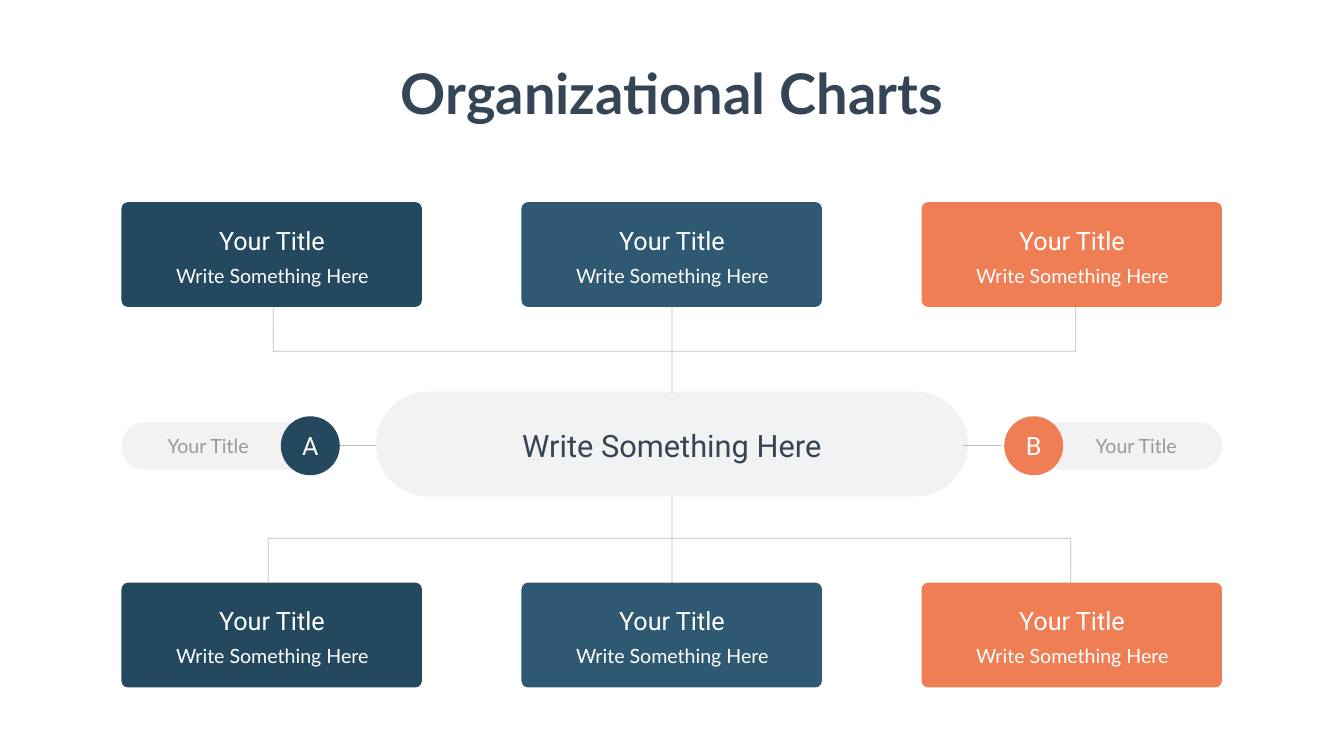
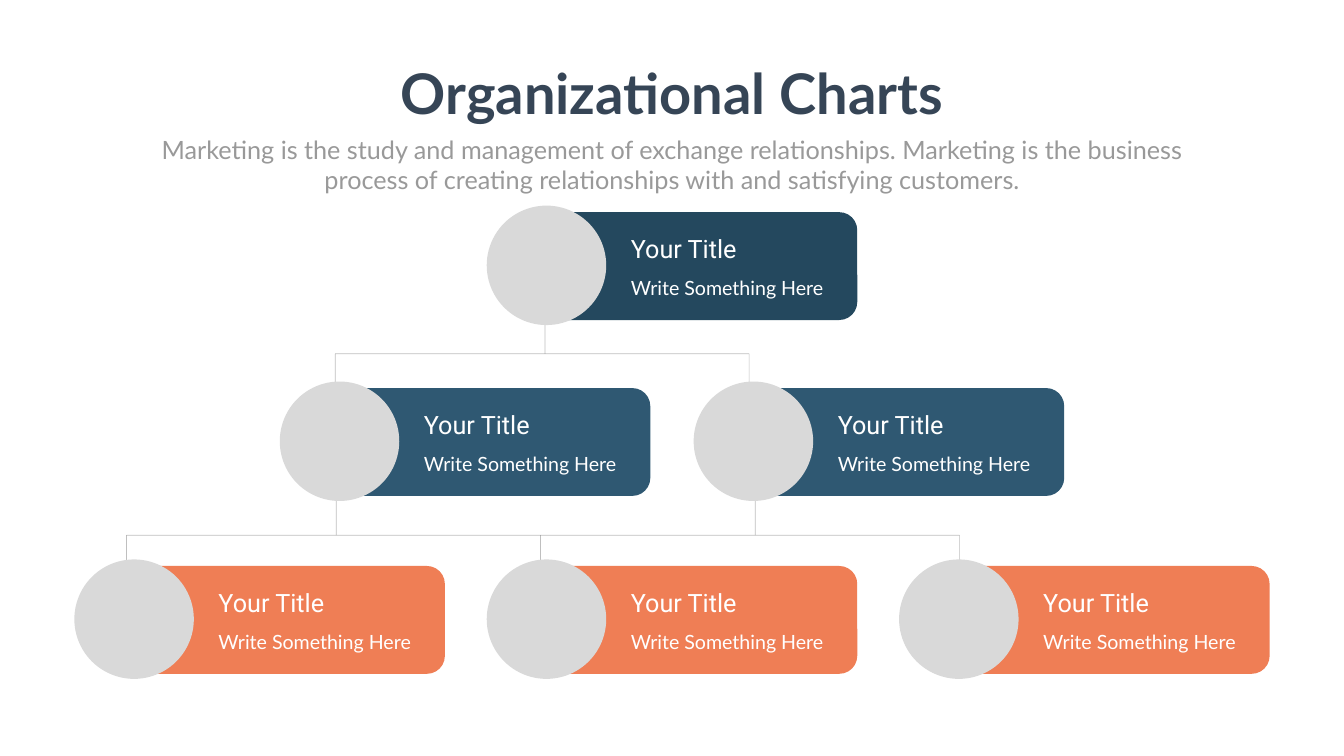
from lxml.etree import SubElement as Sub
from pptx import Presentation
from pptx.dml.color import RGBColor as RGB
from pptx.enum.shapes import MSO_CONNECTOR as Conn, MSO_SHAPE as Kind
from pptx.enum.text import MSO_AUTO_SIZE as Auto, PP_ALIGN as Align
from pptx.oxml.ns import qn
from pptx.util import Inches, Pt

WIDE, HIGH = 26.66, 15
COLORS = {
    "navy": "24485E", "blue": "2F5872", "coral": "EF7E55", "ink": "364556",
    "gray": "808080", "label": "999999", "pale": "F2F2F2", "photo": "D9D9D9",
    "white": "FFFFFF",
}
TONES = ["navy", "blue", "coral"]


def paint(fill, color, alpha=None):
    fill.solid()
    fill.fore_color.rgb = RGB.from_string(COLORS[color])
    if alpha:
        tint = fill._xPr.find(".//" + qn("a:srgbClr"))
        Sub(tint, qn("a:alpha")).set("val", str(alpha * 1000))


def add_form(slide, kind, box, color, round=None, alpha=None):
    form = slide.shapes.add_shape(kind, *map(Inches, box))
    form.shadow.inherit = False
    paint(form.fill, color, alpha)
    form.line.fill.background()
    if round is not None:
        form.adjustments[0] = round


def add_text(slide, text, box, size, color, font="Lato", align=Align.CENTER,
             space=None, bold=False, wrap=True):
    frame = slide.shapes.add_textbox(*map(Inches, box)).text_frame
    frame.word_wrap = wrap
    frame.auto_size = Auto.SHAPE_TO_FIT_TEXT
    frame.text = text
    par = frame.paragraphs[0]
    par.alignment = align
    if space:
        par.line_spacing = Pt(space)
    face = par.runs[0].font
    face.name, face.size, face.bold = font, Pt(size), bold
    face.color.rgb = RGB.from_string(COLORS[color])


def add_line(slide, x1, y1, x2, y2):
    line = slide.shapes.add_connector(Conn.STRAIGHT, *map(Inches, (x1, y1, x2, y2)))
    line.line.width = Pt(1)
    paint(line.line.fill, "gray", 50)
    Sub(line._element.spPr, qn("a:effectLst"))


def add_fork(slide, stems, drops, start, rail, end):
    add_line(slide, min(drops), rail, max(drops), rail)
    for x in stems:
        add_line(slide, x, start, x, rail)
    for x in drops:
        add_line(slide, x, rail, x, end)


def add_head(slide):
    add_text(slide, "Organizational Charts", (7.7, 1.12, 11.26, 1.45), 80, "ink",
             bold=True, wrap=False)


def add_pair(slide, title, body, align):
    add_text(slide, "Your Title", title, 36, "white", "Roboto", align)
    add_text(slide, "Write Something Here", body, 28, "white", align=align, space=40.8)


def add_block(slide, x, y, color):
    add_form(slide, Kind.ROUNDED_RECTANGLE, (x, y, 5.96, 2.08), color, 0.063)
    add_pair(slide, (x + 0.92, y + 0.41, 4.13, 0.66),
             (x + 0.52, y + 1.07, 4.94, 0.62), Align.CENTER)


def add_badge(slide, letter, color, pill, disc, label):
    add_form(slide, Kind.ROUNDED_RECTANGLE, (pill, 8.38, 3.94, 0.94), "pale", 0.5)
    add_form(slide, Kind.OVAL, (disc, 8.26, 1.17, 1.17), color)
    add_text(slide, "Your Title", (label, 8.56, 2.65, 0.57), 28, "label")
    add_text(slide, letter, (disc + 0.04, 8.49, 1.09, 0.71), 36, "white", "Roboto")


def add_card(slide, x, y, color):
    add_form(slide, Kind.ROUNDED_RECTANGLE, (x + 0.71, y + 0.13, 6.64, 2.14), color)
    add_pair(slide, (x + 2.76, y + 0.5, 4.28, 0.71),
             (x + 2.76, y + 1.25, 4.28, 0.62), Align.LEFT)
    add_form(slide, Kind.OVAL, (x, y, 2.37, 2.37), "photo")


def build_hub(slide):
    add_line(slide, 6.7, 8.84, 7.46, 8.84)
    add_form(slide, Kind.ROUNDED_RECTANGLE, (7.46, 7.77, 11.74, 2.08), "gray", 0.5, 10)
    for y in (11.56, 4.01):
        for i, tone in enumerate(TONES):
            add_block(slide, 2.41 + 7.935 * i, y, tone)
    mid = WIDE / 2
    add_fork(slide, [mid], [5.32, mid, 21.24], 9.85, 10.68, 11.56)
    add_fork(slide, [mid], [5.42, mid, 21.34], 7.81, 6.97, 6.09)
    add_text(slide, "Write Something Here", (9.04, 8.42, 8.58, 0.84), 44, "ink", "Roboto")
    add_badge(slide, "B", "coral", 20.3, 19.92, 21.21)
    add_badge(slide, "A", "navy", 2.41, 5.57, 2.8)
    add_line(slide, 19.11, 8.84, 19.87, 8.84)
    add_head(slide)


def build_tree(slide):
    add_fork(slide, [6.67, 14.98], [2.51, 10.72, 19.03], 9.87, 10.62, 11.18)
    add_fork(slide, [10.81], [6.65, 14.86], 6.27, 7.02, 7.58)
    rows = zip(TONES, (4.08, 7.57, 11.1), (0, 8.21, 8.18))
    for level, (tone, y, step) in enumerate(rows):
        left = (WIDE - 7.35 - level * step) / 2
        for i in range(level + 1):
            add_card(slide, left + i * step, y, tone)
    add_head(slide)
    add_text(slide, "Marketing is the study and management of exchange relationships. "
             "Marketing is the business process of creating relationships with and "
             "satisfying customers.", (2.92, 2.61, 20.82, 1.31), 36, "label")


def main():
    deck = Presentation()
    deck.slide_width, deck.slide_height = Inches(WIDE), Inches(HIGH)
    for build in (build_hub, build_tree):
        build(deck.slides.add_slide(deck.slide_layouts[6]))
    deck.save("out.pptx")


if __name__ == "__main__":
    main()
